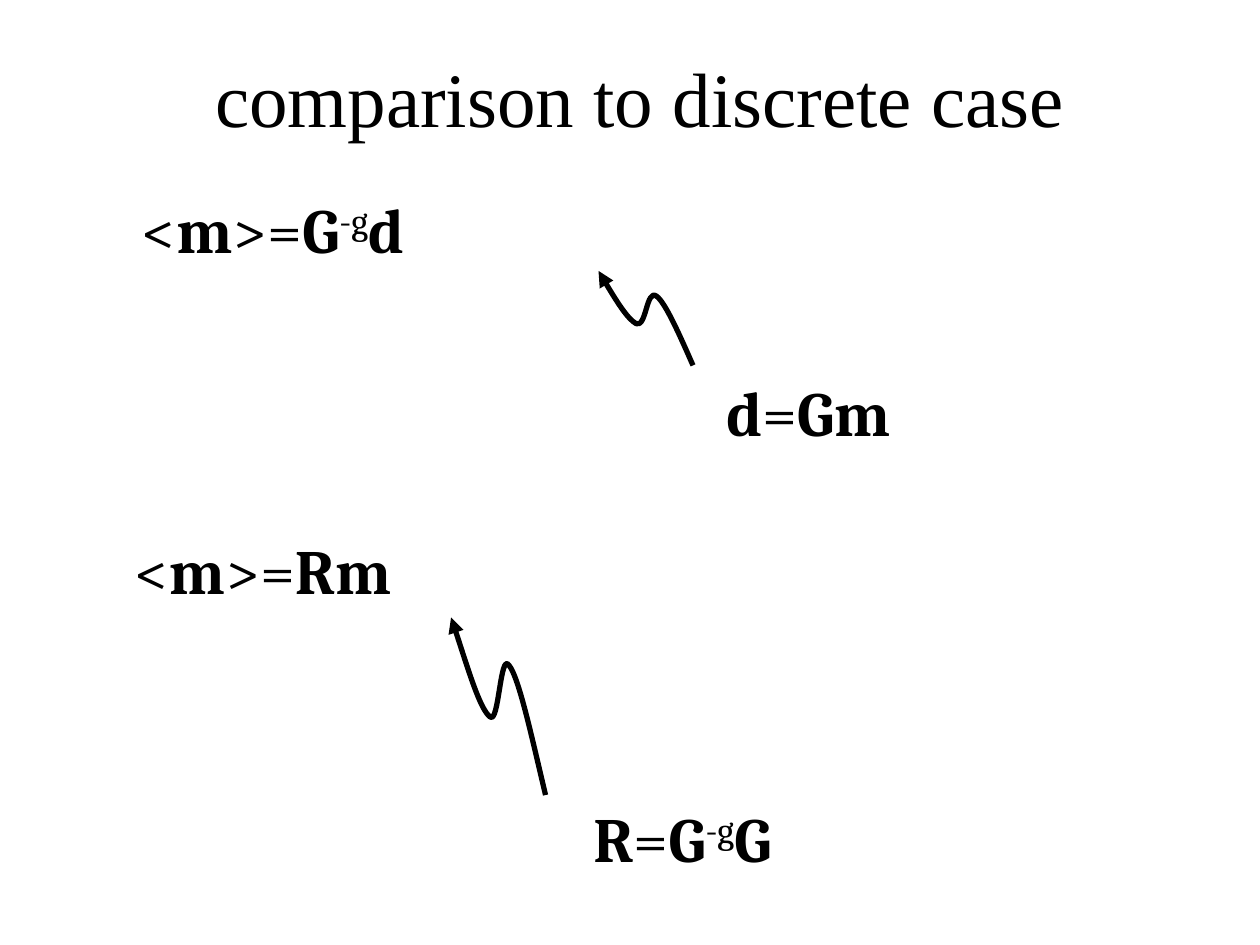
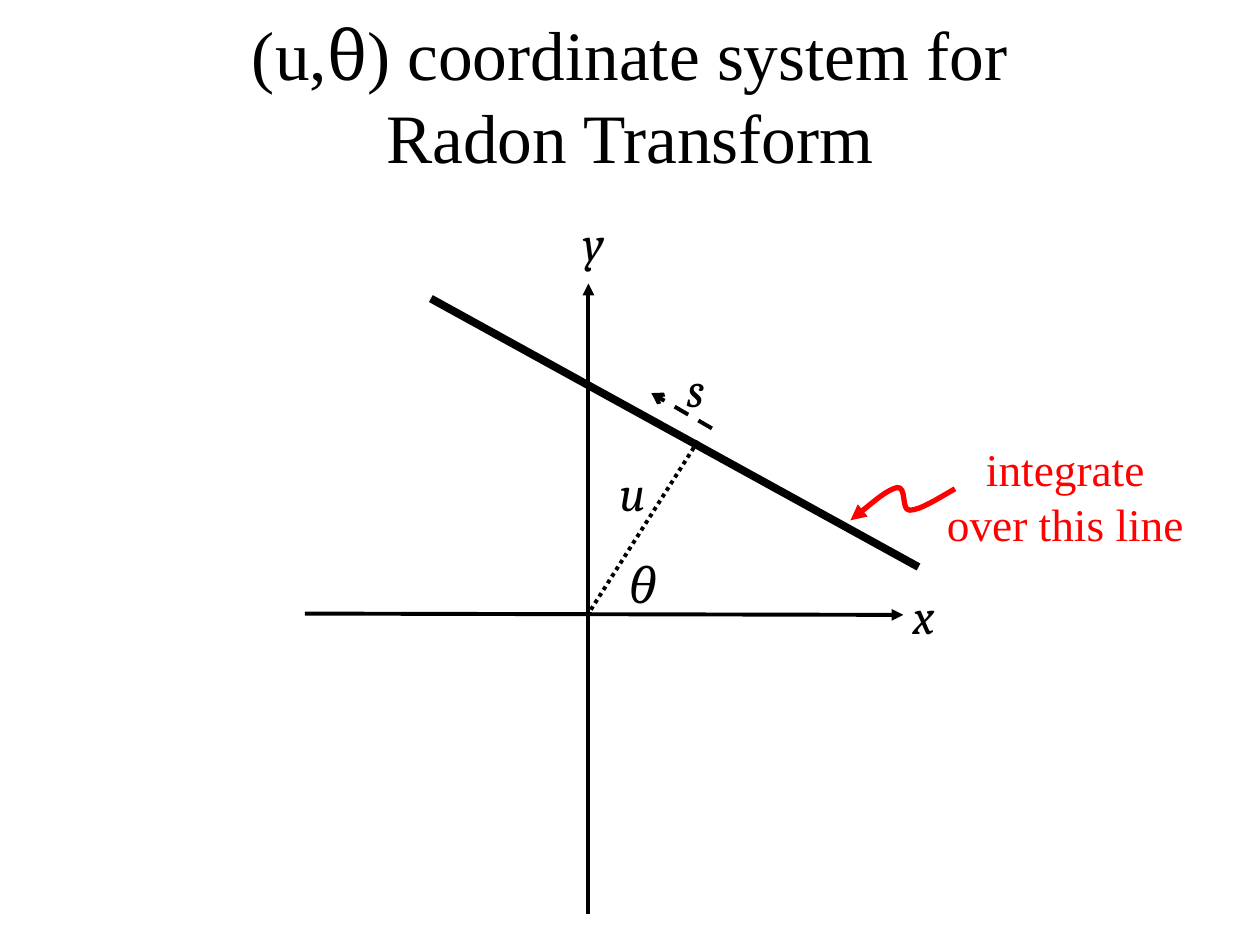
from pptx import Presentation
from pptx.dml.color import RGBColor
from pptx.enum.dml import MSO_LINE
from pptx.enum.shapes import MSO_CONNECTOR
from pptx.enum.text import MSO_ANCHOR as ANCHOR, PP_ALIGN as ALIGN
from pptx.oxml.ns import qn
from pptx.util import Inches, Pt
from lxml import etree

BLACK, RED = "000000", "FF0000"
SERIF, MATH = "Times New Roman", "Cambria"

# Formulas: (left, top), then pieces of (text, style): b bold, n normal, sup superscript
FORMULA_SIZE = (3.67, 1.03)
FORMULAS = [
    ((0.33, 1.3), [("<", "n"), ("m", "b"), (">=", "n"), ("G", "b"), ("-g", "sup"), ("d", "b")]),
    ((4.58, 2.75), [("d", "b"), ("=", "n"), ("Gm", "b")]),
    ((0.25, 4), [("<", "n"), ("m", "b"), (">=", "n"), ("Rm", "b")]),
    ((3.58, 6.13), [("R", "b"), ("=", "n"), ("G", "b"), ("-g", "sup"), ("G", "b")]),
]

# Wavy arrows: start point, then three points for each Bezier piece; the head is at the end
FORMULA_ARROWS = [
    [(5.5, 2.9), (5.39, 2.65), (5.28, 2.4), (5.21, 2.35), (5.13, 2.29),
     (5.13, 2.6), (5.05, 2.57), (4.98, 2.53), (4.86, 2.34), (4.75, 2.15)],
    [(4.33, 6.31), (4.22, 5.85), (4.12, 5.38), (4.04, 5.28), (3.97, 5.17),
     (3.96, 5.75), (3.89, 5.69), (3.81, 5.63), (3.7, 5.26), (3.58, 4.9)],
]
NOTE_ARROW = [(7.58, 3.88), (7.44, 3.96), (7.3, 4.05), (7.22, 4.05), (7.15, 4.05),
              (7.2, 3.86), (7.12, 3.87), (7.04, 3.89), (6.9, 4.01), (6.75, 4.13)]

# Diagram lines: start, end, width, dash, arrowhead at the end
ORIGIN = (4.67, 4.87)
DIAGRAM_LINES = [
    ((4.67, 7.25), (4.67, 2.25), 2.25, None, "triangle"),
    ((2.42, 4.87), (7.17, 4.88), 2.25, None, "triangle"),
    ((5.54, 3.5), ORIGIN, 2.25, MSO_LINE.ROUND_DOT, None),
    ((7.29, 4.5), (3.42, 2.37), 4.5, None, None),
    ((5.65, 3.4), (5.17, 3.12), 2.25, MSO_LINE.DASH, "arrow"),
]
# Diagram labels: text, left, top, width
DIAGRAM_LABELS = [("x", 6.91, 4.6, 0.84), ("θ", 4.6, 4.35, 1), ("y", 4.29, 1.64, 0.84),
                  ("u", 4.6, 3.62, 0.84), ("s", 5.1, 2.8, 0.84)]


def rgb(color):
    return RGBColor.from_string(color)


def add_text(s, box, size, anchor=ANCHOR.MIDDLE):
    """Add an empty centred text box; return a function that adds runs to it."""
    tf = s.shapes.add_textbox(*map(Inches, box)).text_frame
    tf.word_wrap = True
    tf.vertical_anchor = anchor
    p = tf.paragraphs[0]
    p.alignment = ALIGN.CENTER

    def add_run(text, font=SERIF, color=BLACK, bold=False, italic=False, sup=False):
        for i, part in enumerate(text.split("\n")):
            if i:
                p.add_line_break()
            r = p.add_run()
            r.text = part
            r.font.name, r.font.size = font, Pt(size)
            r.font.bold, r.font.italic = bold, italic
            r.font.color.rgb = rgb(color)
            if sup:
                r._r.get_or_add_rPr().set("baseline", "30000")

    return add_run


def style_line(sp, color, width, dash=None, head=None):
    sp.line.color.rgb = rgb(color)
    sp.line.width = Pt(width)
    if dash:
        sp.line.dash_style = dash
    if head:
        etree.SubElement(sp.line._get_or_add_ln(), qn("a:tailEnd"), type=head)


def add_line(s, start, end, width, dash, head):
    sp = s.shapes.add_connector(MSO_CONNECTOR.STRAIGHT, *map(Inches, start + end))
    style_line(sp, BLACK, width, dash, head)
    etree.SubElement(sp._element.spPr, qn("a:effectLst"))


def add_wavy_arrow(s, points, color):
    points = [(Inches(x), Inches(y)) for x, y in points]
    builder = s.shapes.build_freeform(*points[0])
    builder.add_line_segments(points[1:], close=False)
    sp = builder.convert_to_shape()
    sp.shadow.inherit = False
    sp.fill.background()
    style_line(sp, color, 3, head="triangle")
    # Join every three straight steps into one Bezier piece
    steps = list(sp._element.iter(qn("a:lnTo")))
    for i in range(0, len(steps), 3):
        curve = etree.Element(qn("a:cubicBezTo"))
        steps[i].addprevious(curve)
        for step in steps[i:i + 3]:
            curve.append(step[0])
            step.getparent().remove(step)


def build_comparison(s):
    add_text(s, (0.58, 0.25, 9, 1.03), 44)("comparison to discrete case")
    for points in FORMULA_ARROWS:
        add_wavy_arrow(s, points, BLACK)
    for place, pieces in FORMULAS:
        add_run = add_text(s, place + FORMULA_SIZE, 36)
        for text, style in pieces:
            add_run(text, MATH, bold=style == "b", sup=style == "sup")


def build_radon(s):
    # Title
    add_run = add_text(s, (0, 0.25, 10, 1), 39.6)
    add_run("(u,")
    add_run("θ", MATH)
    add_run(") coordinate system for\nRadon Transform")
    # Axes, integration line and labels
    for line in DIAGRAM_LINES:
        add_line(s, *line)
    for text, left, top, width in DIAGRAM_LABELS:
        add_text(s, (left, top, width, 0.57), 28, ANCHOR.TOP)(text, MATH, italic=True)
    # Red note
    add_text(s, (7.37, 3.31, 2.17, 1.25), 25.9)("integrate over this line", color=RED)
    add_wavy_arrow(s, NOTE_ARROW, RED)


def main():
    prs = Presentation()
    prs.slide_width, prs.slide_height = Inches(10), Inches(7.5)
    for build in (build_comparison, build_radon):
        build(prs.slides.add_slide(prs.slide_layouts[6]))
    prs.save("out.pptx")


if __name__ == "__main__":
    main()
